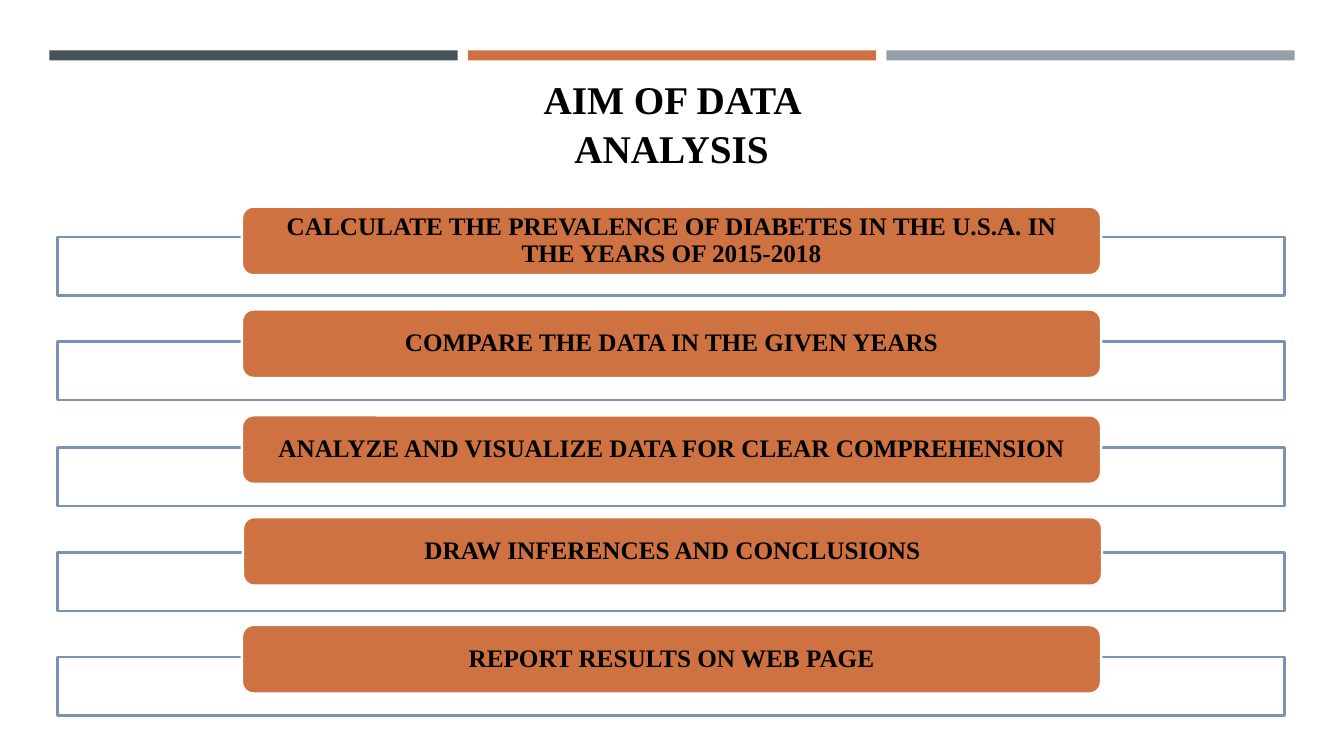
from dataclasses import dataclass

import pptx
import pptx.dml.color
import pptx.enum.shapes
import pptx.enum.text
import pptx.util

EMU_PER_PX = 9144
RECT = pptx.enum.shapes.MSO_SHAPE.RECTANGLE
ROUNDED = pptx.enum.shapes.MSO_SHAPE.ROUNDED_RECTANGLE
ANCHOR = pptx.enum.text.MSO_ANCHOR


@dataclass(frozen=True)
class Theme:
    slate: str = "465359"
    orange: str = "CE7242"
    grey: str = "969FA7"
    blue: str = "7B92B6"
    white: str = "FFFFFF"
    ink: str = "000000"
    font: str = "Times New Roman"
    title_pt: int = 28
    aim_pt: int = 18
    line_pt: float = 1.75


@dataclass(frozen=True)
class Box:
    left: int
    top: int
    width: int
    height: int

    def emu(self) -> list[pptx.util.Emu]:
        return [px(n) for n in (self.left, self.top, self.width, self.height)]


@dataclass(frozen=True)
class Aim:
    text: str
    card_left: int
    card_top: int


THEME = Theme()
BAR_COLOURS = (THEME.slate, THEME.orange, THEME.grey)
BAR_STEP = 415
FRAME_TOP, FRAME_STEP = 235, 104.3
AIMS = (
    Aim("CALCULATE THE PREVALENCE OF DIABETES IN THE U.S.A. IN THE YEARS OF 2015-2018", 240, 205),
    Aim("COMPARE THE DATA IN THE GIVEN YEARS", 240, 307),
    Aim("ANALYZE AND VISUALIZE DATA FOR CLEAR COMPREHENSION", 240, 412),
    Aim("DRAW INFERENCES AND CONCLUSIONS", 241, 513),
    Aim("REPORT RESULTS ON WEB PAGE", 240, 620),
)


def px(length: int) -> pptx.util.Emu:
    return pptx.util.Emu(length * EMU_PER_PX)


def rgb(colour: str) -> pptx.dml.color.RGBColor:
    return pptx.dml.color.RGBColor.from_string(colour)


def add_block(slide, kind, box: Box, fill: str, line: str | None = None):
    block = slide.shapes.add_shape(kind, *box.emu())
    block.shadow.inherit = False
    block.fill.solid()
    block.fill.fore_color.rgb = rgb(fill)
    if line is None:
        block.line.fill.background()
    else:
        block.line.color.rgb = rgb(line)
        block.line.width = pptx.util.Pt(THEME.line_pt)
    return block


def write(holder, text: str, size: int, spacing: float, anchor, side: int, edge: int) -> None:
    frame = holder.text_frame
    frame.word_wrap = True
    frame.vertical_anchor = anchor
    frame.margin_left = frame.margin_right = px(side)
    frame.margin_top = frame.margin_bottom = px(edge)
    paragraph = frame.paragraphs[0]
    paragraph.alignment = pptx.enum.text.PP_ALIGN.CENTER
    paragraph.line_spacing = spacing
    run = paragraph.add_run()
    run.text = text
    run.font.name = THEME.font
    run.font.size = pptx.util.Pt(size)
    run.font.bold = True
    run.font.color.rgb = rgb(THEME.ink)


def add_aim(slide, index: int, aim: Aim) -> None:
    frame_top = FRAME_TOP + round(index * FRAME_STEP)
    add_block(slide, RECT, Box(57, frame_top, 1217, 58), THEME.white, THEME.blue)
    card = add_block(slide, ROUNDED, Box(aim.card_left, aim.card_top, 852, 68),
                     THEME.orange, THEME.white)
    write(card, aim.text, THEME.aim_pt, 0.9, ANCHOR.MIDDLE, 32, 0)


def main() -> None:
    deck = pptx.Presentation()
    deck.slide_width, deck.slide_height = px(1333), px(750)
    slide = deck.slides.add_slide(deck.slide_layouts[6])
    for index, colour in enumerate(BAR_COLOURS):
        add_block(slide, RECT, Box(49 + index * BAR_STEP, 50, 405, 10), colour)
    title = slide.shapes.add_textbox(*Box(464, 70, 404, 105).emu())
    write(title, "AIM OF DATA ANALYSIS", THEME.title_pt, 1.04, ANCHOR.BOTTOM, 10, 5)
    for index, aim in enumerate(AIMS):
        add_aim(slide, index, aim)
    deck.save("out.pptx")


if __name__ == "__main__":
    main()
